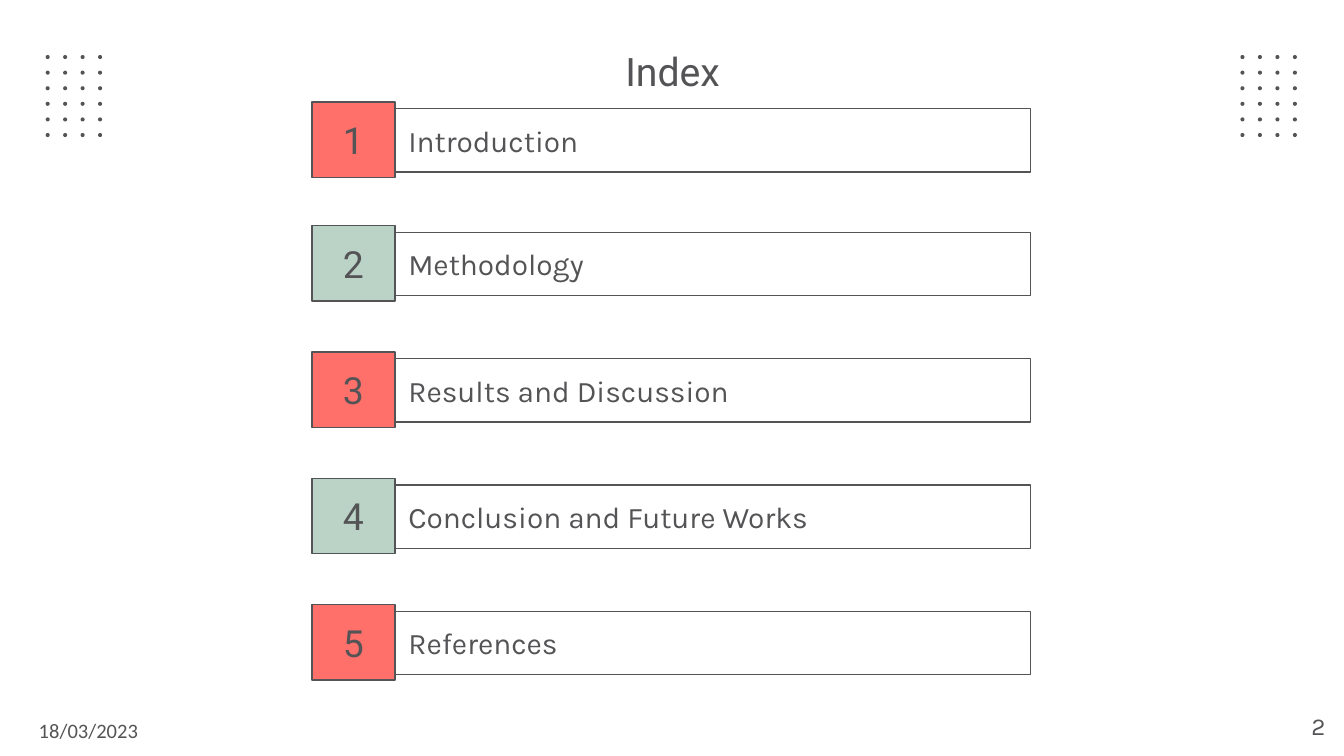
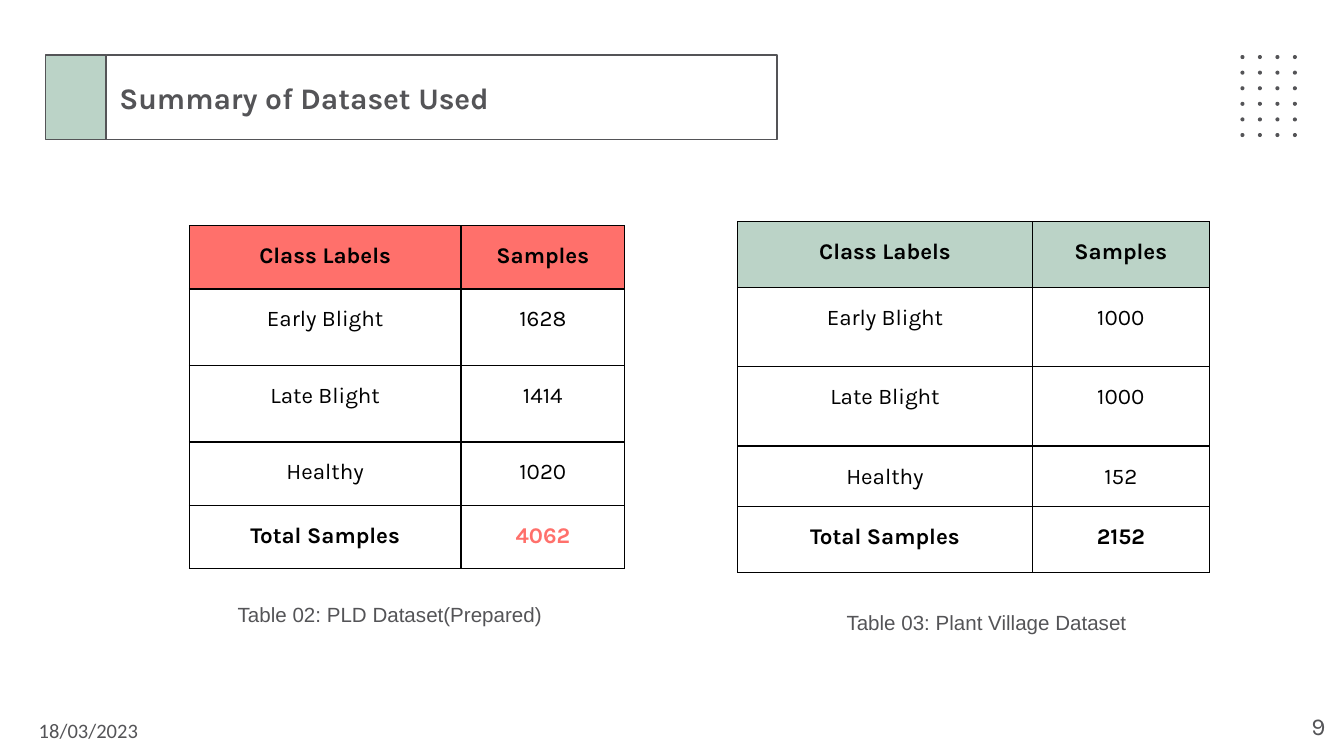
from lxml import etree
from pptx import Presentation
from pptx.dml.color import RGBColor
from pptx.enum.shapes import MSO_SHAPE
from pptx.enum.text import MSO_ANCHOR, PP_ALIGN
from pptx.oxml.ns import qn
from pptx.util import Inches, Pt

RECTANGLE, ELLIPSE = MSO_SHAPE.RECTANGLE, MSO_SHAPE.OVAL
LEFT, CENTER, RIGHT = PP_ALIGN.LEFT, PP_ALIGN.CENTER, PP_ALIGN.RIGHT
TOP, MIDDLE = MSO_ANCHOR.TOP, MSO_ANCHOR.MIDDLE

GRAY, CORAL, SAGE, BLACK = "545457", "FF706B", "BBD3C7", "000000"
color = RGBColor.from_string


def add_box(page, at, kind=None, fill=None, line=None):
    """Add a preset shape, or a text box when no kind is given."""
    place = [Inches(length) for length in at]
    if kind is None:
        return page.shapes.add_textbox(*place)
    box = page.shapes.add_shape(kind, *place)
    box.shadow.inherit = False
    if fill:
        box.fill.solid()
        box.fill.fore_color.rgb = color(fill)
    else:
        box.fill.background()
    if line:
        box.line.color.rgb = color(line)
        box.line.width = Pt(0.75)
    else:
        box.line.fill.background()
    return box


def write(holder, text, size, font="Karla", ink=GRAY, align=LEFT, anchor=TOP, bold=False):
    """Put one paragraph in a shape or a table cell; return the paragraph."""
    frame = holder.text_frame
    frame.word_wrap = True
    margin_holder = holder if hasattr(holder, "margin_left") else frame
    for side in ("left", "top", "right", "bottom"):
        setattr(margin_holder, f"margin_{side}", Inches(0.1))
    margin_holder.vertical_anchor = anchor
    para = frame.paragraphs[0]
    para.text = text
    para.alignment = align
    span = para.runs[0]
    span.font.size = Pt(size)
    span.font.name = font
    span.font.bold = bold
    span.font.color.rgb = color(ink)
    return para


deck = Presentation()
deck.slide_width = Inches(10)
deck.slide_height = deck.slide_width * 9 // 16
blank = deck.slide_layouts[6]
index_page = deck.slides.add_slide(blank)
dataset_page = deck.slides.add_slide(blank)

# Shared date, page number and dot grids
for page, number, grid_lefts in ((index_page, "2", (0.34, 9.23)), (dataset_page, "9", (9.23,))):
    write(add_box(page, (0.19, 5.25, 1.96, 0.39)), "18/03/2023", 11, "Calibri")
    for grid_left in grid_lefts:
        for row in range(6):
            for column in range(4):
                at = (grid_left + 0.13 * column, 0.41 + 0.58 * row / 5, 0.03, 0.03)
                add_box(page, at, ELLIPSE, GRAY)
    write(add_box(page, (9.36, 5.19, 0.6, 0.43)), number, 13, align=RIGHT)

# Index
title = add_box(index_page, (0.79, 0.23, 8.43, 0.63))
write(title, "Index", 21, "Roboto", align=CENTER, anchor=MIDDLE)
title.text_frame.margin_top = Inches(0.07)

chapters = (
    (0.76, "Introduction"),
    (1.68, "Methodology"),
    (2.62, "Results and Discussion"),
    (3.56, "Conclusion and Future Works"),
    (4.5, "References"),
)
for number, (top, chapter) in enumerate(chapters, 1):
    tile_fill = CORAL if number % 2 else SAGE
    tile = add_box(index_page, (2.32, top, 0.62, 0.56), RECTANGLE, tile_fill, GRAY)
    write(tile, str(number), 20, "Roboto", align=CENTER, anchor=MIDDLE)
    bar = add_box(index_page, (2.94, top + 0.05, 4.73, 0.47), RECTANGLE, line=GRAY)
    write(bar, chapter, 16)

# Summary of the datasets
add_box(dataset_page, (0.34, 0.41, 0.45, 0.63), RECTANGLE, SAGE, GRAY)
heading = add_box(dataset_page, (0.79, 0.41, 4.99, 0.63), RECTANGLE, line=GRAY)
para = write(heading, "Summary of Dataset Used", 16, anchor=MIDDLE, bold=True)
para.space_after = Pt(16)

labels = ("Class Labels", "Early Blight", "Late Blight", "Healthy", "Total Samples")
datasets = (
    # left, top, column widths, row heights, header fill, total ink, samples
    (5.49, 1.65, (2.19, 1.32), (0.49, 0.59, 0.59, 0.45, 0.49), SAGE, BLACK,
     ("Samples", "1000", "1000", "152", "2152")),
    (1.41, 1.68, (2.02, 1.22), (0.47, 0.57, 0.57, 0.47, 0.47), CORAL, CORAL,
     ("Samples", "1628", "1414", "1020", "4062")),
)
for left, top, widths, heights, header_fill, total_ink, samples in datasets:
    frame = dataset_page.shapes.add_table(
        len(labels), 2, Inches(left), Inches(top), Inches(sum(widths)), Inches(sum(heights)))
    table = frame.table
    table.first_row = table.horz_banding = False
    for column, width in zip(table.columns, widths):
        column.width = Inches(width)
    for row, height in enumerate(heights):
        table.rows[row].height = Inches(height)
        for column, text in enumerate((labels[row], samples[row])):
            cell = table.cell(row, column)
            is_total = row == len(labels) - 1
            ink = total_ink if is_total and column == 1 else BLACK
            para = write(cell, text, 12, ink=ink, align=CENTER, bold=row == 0 or is_total)
            para.line_spacing = 1.15
            properties = cell._tc.get_or_add_tcPr()
            for edge in ("a:lnL", "a:lnR", "a:lnT", "a:lnB"):
                border = etree.SubElement(properties, qn(edge), w=str(Pt(0.75)))
                solid = etree.SubElement(border, qn("a:solidFill"))
                etree.SubElement(solid, qn("a:srgbClr"), val=BLACK)
            if row == 0:
                cell.fill.solid()
                cell.fill.fore_color.rgb = color(header_fill)
            else:
                cell.fill.background()

captions = ((1.67, 4.39, "Table 02: PLD Dataset(Prepared)"),
            (6.2, 4.45, "Table 03: Plant Village Dataset"))
for left, top, caption in captions:
    write(add_box(dataset_page, (left, top, 2.91, 0.39)), caption, 11, "Arial")

deck.save("out.pptx")
